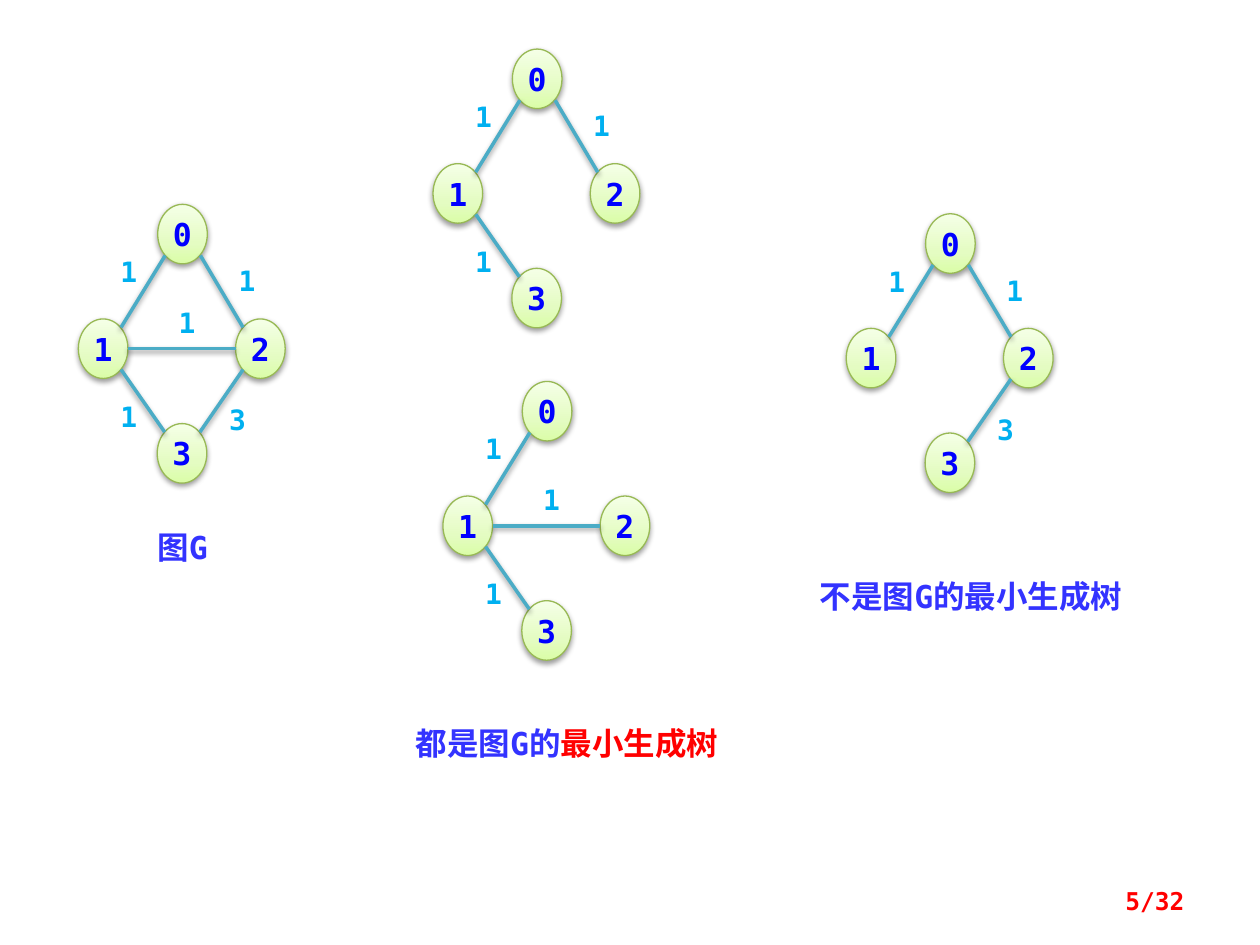
"""Build a slide comparing a graph with its spanning trees."""
from lxml.etree import fromstring
from pptx import Presentation
from pptx.dml.color import RGBColor
from pptx.enum.shapes import MSO_CONNECTOR, MSO_SHAPE
from pptx.enum.text import MSO_ANCHOR, MSO_AUTO_SIZE, PP_ALIGN
from pptx.oxml.ns import qn
from pptx.util import Cm, Pt

BLUE = RGBColor(0x00, 0x00, 0xFF)
INDIGO = RGBColor(0x33, 0x33, 0xFF)
SKY = RGBColor(0x00, 0xB0, 0xF0)
TEAL = RGBColor(0x4B, 0xAC, 0xC6)
GREEN = RGBColor(0x98, 0xB9, 0x55)
RED = RGBColor(0xFF, 0x00, 0x00)
MONO = "DejaVu Sans Mono"
CJK = "Noto Sans CJK JP"
NS = 'xmlns:a="http://schemas.openxmlformats.org/drawingml/2006/main"'
SHADOW = (
    f'<a:effectLst {NS}><a:outerShdw blurRad="40000" dist="20000" dir="5400000" '
    'rotWithShape="0"><a:srgbClr val="000000"><a:alpha val="38000"/></a:srgbClr>'
    '</a:outerShdw></a:effectLst>'
)
STOPS = [(0, "DAFDA7"), (35000, "E4FCC2"), (100000, "F5FFE7")]
GRAD = (
    f'<a:gradFill {NS} rotWithShape="1"><a:gsLst>'
    + "".join(f'<a:gs pos="{pos}"><a:srgbClr val="{tone}"/></a:gs>' for pos, tone in STOPS)
    + '</a:gsLst><a:lin ang="16200000" scaled="0"/></a:gradFill>'
)

WIDE, HIGH = 1.0, 1.2
NODES = {"0": (1.6, 0), "2": (3.17, 2.31), "1": (0, 2.31), "3": (1.59, 4.42)}
EDGES = {
    "01": ((1.75, 1.03), (0.86, 2.48), (0.6, 0.89), "1"),
    "02": ((2.46, 1.03), (3.32, 2.48), (2.98, 1.07), "1"),
    "12": ((1.0, 2.91), (3.17, 2.91), (1.77, 1.92), "1"),
    "13": ((0.86, 3.33), (1.74, 4.59), (0.6, 3.81), "1"),
    "23": ((3.32, 3.33), (2.45, 4.59), (2.79, 3.88), "3"),
}
GRAPHS = [
    (1.58, 4.12, ["01", "02", "12", "13", "23"]),
    (8.73, 0.99, ["01", "02", "13"]),
    (8.93, 7.69, ["01", "12", "13"]),
    (17.06, 4.31, ["01", "02", "23"]),
]
NOTES = [
    (2.59, 10.52, 2.18, PP_ALIGN.CENTER, [("图G", MONO, INDIGO)]),
    (8.13, 14.48, 6.76, PP_ALIGN.LEFT, [("都是图G的", MONO, INDIGO), ("最小生成树", CJK, RED)]),
    (16.28, 11.51, 6.76, PP_ALIGN.LEFT, [("不是图G的最小生成树", MONO, INDIGO)]),
]


def write(frame, runs, size, align):
    para = frame.paragraphs[0]
    para.alignment = align
    for text, face, color in runs:
        run = para.add_run()
        run.text = text
        font = run.font
        font.size = Pt(size)
        font.bold = True
        font.color.rgb = color
        font.name = face
        run._r.get_or_add_rPr().append(fromstring(f'<a:ea {NS} typeface="{CJK}"/>'))


def label(x, y, wide, high, runs, size, align):
    box = slide.shapes.add_textbox(Cm(x), Cm(y), Cm(wide), Cm(high))
    frame = box.text_frame
    frame.word_wrap = True
    frame.auto_size = MSO_AUTO_SIZE.SHAPE_TO_FIT_TEXT
    write(frame, runs, size, align)
    return frame


deck = Presentation()
deck.slide_width, deck.slide_height = Cm(25.4), Cm(19.05)
slide = deck.slides.add_slide(deck.slide_layouts[6])

for left, top, links in GRAPHS:
    for name, (x, y) in NODES.items():
        node = slide.shapes.add_shape(
            MSO_SHAPE.OVAL, Cm(left + x), Cm(top + y), Cm(WIDE), Cm(HIGH)
        )
        node.line.color.rgb = GREEN
        node.line.width = Pt(0.75)
        props = node._element.spPr
        props.find(qn("a:prstGeom")).addnext(fromstring(GRAD))
        props.append(fromstring(SHADOW))
        frame = node.text_frame
        frame.word_wrap = False
        frame.vertical_anchor = MSO_ANCHOR.MIDDLE
        write(frame, [(name, MONO, BLUE)], 18, PP_ALIGN.CENTER)
    for link in links:
        (x1, y1), (x2, y2), (x, y), cost = EDGES[link]
        edge = slide.shapes.add_connector(
            MSO_CONNECTOR.STRAIGHT,
            Cm(left + x1), Cm(top + y1), Cm(left + x2), Cm(top + y2),
        )
        edge.line.color.rgb = TEAL
        edge.line.width = Pt(2)
        edge._element.spPr.append(fromstring(SHADOW))
        label(left + x, top + y, 0.79, 0.94, [(cost, MONO, SKY)], 16, PP_ALIGN.CENTER)

for x, y, wide, align, runs in NOTES:
    label(x, y, wide, 1.02, runs, 18, align)

page = label(18.21, 17.65, 5.92, 1.02, [("5/32", MONO, RED)], 14, PP_ALIGN.RIGHT)
page.auto_size = MSO_AUTO_SIZE.NONE
page.vertical_anchor = MSO_ANCHOR.MIDDLE

deck.save("out.pptx")
